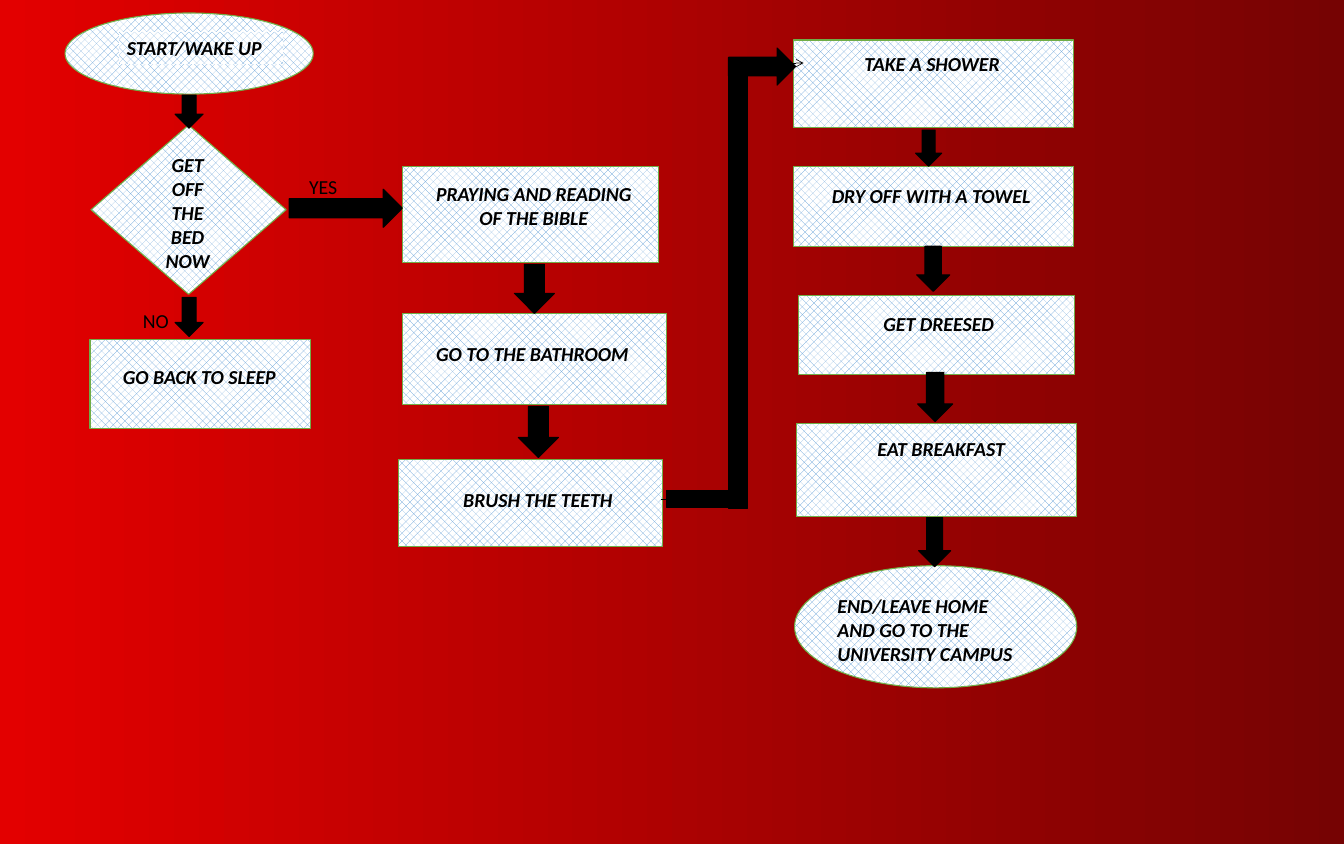
from lxml.etree import SubElement
from pptx import Presentation
from pptx.dml.color import RGBColor
from pptx.enum.dml import MSO_PATTERN
from pptx.enum.shapes import MSO_CONNECTOR, MSO_SHAPE
from pptx.enum.text import PP_ALIGN
from pptx.oxml.ns import qn
from pptx.util import Emu, Pt

SLIDE_SIZE = (1343, 843)
PX = 914400 / 79.2
COLORS = {
    "bright_red": "E30000",
    "dark_red": "760303",
    "hatch": "5B9BD5",
    "paper": "FFFFFF",
    "outline": "70AD47",
    "ink": "000000",
}
STEP_FONT = {"name": "Calibri", "size": Pt(18), "bold": True, "italic": True}
ANSWER_FONT = {"name": "Calibri", "size": Pt(18)}

OVAL, DIAMOND, BOX = MSO_SHAPE.OVAL, MSO_SHAPE.DIAMOND, MSO_SHAPE.RECTANGLE
DOWN, RIGHT = MSO_SHAPE.DOWN_ARROW, MSO_SHAPE.RIGHT_ARROW
LEFT, CENTER = PP_ALIGN.LEFT, PP_ALIGN.CENTER

STEPS = [
    (OVAL, (65, 13, 248, 81), ["START/WAKE UP"], (119, 32, 164, 32), LEFT),
    (DIAMOND, (91, 125, 195, 169), ["GET OFF THE BED", "NOW"], (147, 149, 81, 128), CENTER),
    (BOX, (90, 339, 220, 89), ["GO BACK TO SLEEP"], (115, 360, 171, 32), LEFT),
    (BOX, (402, 166, 256, 96), ["PRAYING AND READING OF THE BIBLE"], (417, 178, 233, 56), CENTER),
    (BOX, (402, 313, 264, 91), ["GO TO THE BATHROOM"], (417, 337, 230, 32), CENTER),
    (BOX, (398, 459, 264, 87), ["BRUSH THE TEETH"], (414, 483, 247, 32), CENTER),
    (BOX, (793, 40, 280, 87), ["TAKE A SHOWER"], (803, 48, 257, 32), CENTER),
    (BOX, (793, 166, 280, 80), ["DRY OFF WITH A TOWEL"], (796, 180, 269, 32), CENTER),
    (BOX, (798, 295, 276, 79), ["GET DREESED"], (821, 307, 234, 32), CENTER),
    (BOX, (796, 423, 280, 93), ["EAT BREAKFAST"], (817, 432, 247, 32), CENTER),
    (OVAL, (794, 565, 282, 122), ["END/LEAVE HOME AND GO TO THE UNIVERSITY CAMPUS"],
     (829, 589, 208, 104), LEFT),
]
ANSWERS = [("YES", (301, 171, 65, 32)), ("NO", (135, 304, 84, 32))]
ARROWS = [
    (DOWN, (175, 95, 28, 33)),
    (DOWN, (175, 297, 28, 39)),
    (RIGHT, (289, 189, 113, 38)),
    (DOWN, (514, 264, 40, 49)),
    (DOWN, (518, 406, 40, 51)),
    (DOWN, (915, 130, 26, 36)),
    (DOWN, (916, 246, 33, 45)),
    (DOWN, (917, 372, 35, 49)),
    (DOWN, (918, 517, 32, 49)),
]
TEETH_TO_SHOWER = (661, 499, 803, 63)
TEETH_TO_SHOWER_BAND = [
    (BOX, (666, 490, 63, 17)),
    (BOX, (728, 63, 19, 414)),
    (RIGHT, (728, 48, 67, 37)),
    (BOX, (728, 472, 19, 36)),
]


def emu(lengths):
    return [Emu(round(length * PX)) for length in lengths]


def color(key):
    return RGBColor.from_string(COLORS[key])


def hatch(fill):
    fill.patterned()
    fill.pattern = MSO_PATTERN.PERCENT_30
    fill.fore_color.rgb = color("hatch")
    fill.back_color.rgb = color("paper")


def add_outlined(slide, kind, place, outline):
    outlined = slide.shapes.add_shape(kind, *emu(place))
    outlined.shadow.inherit = False
    outlined.line.color.rgb = color(outline)
    outlined.line.width = Pt(1)
    return outlined


def add_arrow(slide, kind, place):
    arrow = add_outlined(slide, kind, place, "ink")
    arrow.fill.solid()
    arrow.fill.fore_color.rgb = color("ink")


def add_label(slide, lines, place, align, font_values):
    label = slide.shapes.add_textbox(*emu(place))
    frame = label.text_frame
    frame.word_wrap = True
    frame.text = "\n".join(lines)
    for paragraph in frame.paragraphs:
        paragraph.alignment = align
        font = paragraph.runs[0].font
        font.color.rgb = color("ink")
        for attribute, value in font_values.items():
            setattr(font, attribute, value)
    return label


def add_elbow(slide, ends):
    elbow = slide.shapes.add_connector(MSO_CONNECTOR.ELBOW, *emu(ends))
    elbow.line.color.rgb = color("ink")
    elbow.line.width = Pt(0.5)
    SubElement(elbow.line._get_or_add_ln(), qn("a:tailEnd"), type="arrow")
    SubElement(elbow._element.spPr, qn("a:effectLst"))


def main():
    deck = Presentation()
    deck.slide_width, deck.slide_height = emu(SLIDE_SIZE)
    slide = deck.slides.add_slide(deck.slide_layouts[6])

    backdrop = slide.background.fill
    backdrop.gradient()
    backdrop.gradient_angle = 0
    for stop, position, key in zip(backdrop.gradient_stops, (0, 1), ("bright_red", "dark_red")):
        stop.position = position
        stop.color.rgb = color(key)

    for kind, place, lines, label_place, align in STEPS:
        hatch(add_outlined(slide, kind, place, "outline").fill)
        label = add_label(slide, lines, label_place, align, STEP_FONT)
        if lines == ["START/WAKE UP"]:
            hatch(label.fill)
    for answer, place in ANSWERS:
        add_label(slide, [answer], place, LEFT, ANSWER_FONT)
    add_elbow(slide, TEETH_TO_SHOWER)
    for kind, place in ARROWS + TEETH_TO_SHOWER_BAND:
        add_arrow(slide, kind, place)

    deck.save("out.pptx")


if __name__ == "__main__":
    main()
